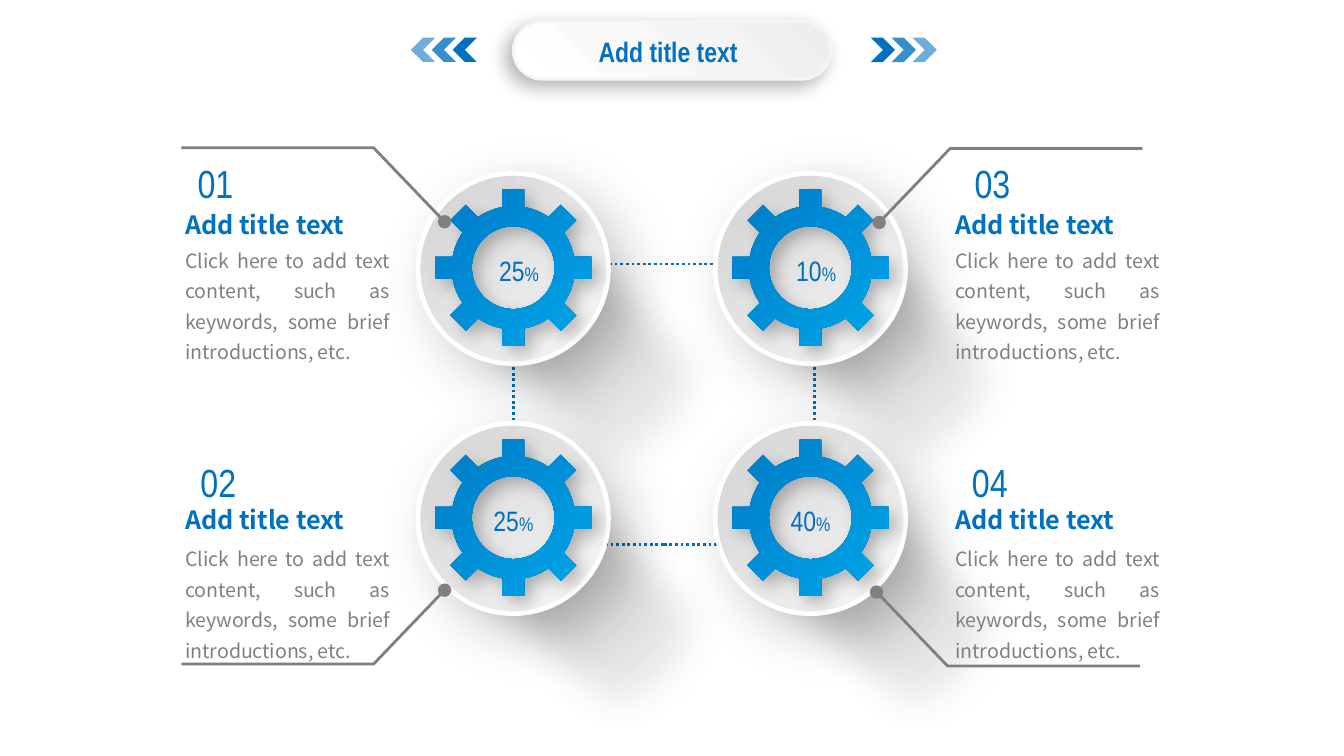
import math

from pptx import Presentation
from pptx.dml.color import RGBColor
from pptx.enum.dml import MSO_LINE
from pptx.enum.shapes import MSO_SHAPE
from pptx.enum.text import MSO_AUTO_SIZE, PP_ALIGN
from pptx.oxml import parse_xml
from pptx.oxml.ns import nsdecls, qn
from pptx.util import Pt

LEFT, CENTER, JUSTIFY = PP_ALIGN.LEFT, PP_ALIGN.CENTER, PP_ALIGN.JUSTIFY
CHEVRON, ELLIPSE = MSO_SHAPE.CHEVRON, MSO_SHAPE.OVAL
RECTANGLE, ROUNDED = MSO_SHAPE.RECTANGLE, MSO_SHAPE.ROUNDED_RECTANGLE
DOTTED, FIT_TEXT = MSO_LINE.ROUND_DOT, MSO_AUTO_SIZE.SHAPE_TO_FIT_TEXT
BLUE, GRAY = "0070C0", "808080"
NARROW, SANS = "Arial Narrow", "Noto Sans CJK SC"
BODY = ("Click here to add text content, such as keywords, "
        "some brief introductions, etc.")


def color(value):
    return RGBColor.from_string(value)


def style(shape, fill=None, line=None, weight=1.5):
    """Set plain fill and line, and clear the inherited shadow."""
    shape.shadow.inherit = False
    if fill:
        shape.fill.solid()
        shape.fill.fore_color.rgb = color(fill)
    else:
        shape.fill.background()
    if line:
        shape.line.color.rgb = color(line)
        shape.line.width = Pt(weight)
    else:
        shape.line.fill.background()
    return shape


def add_box(shapes, kind, left, top, width, height, **look):
    shape = shapes.add_shape(kind, Pt(left), Pt(top), Pt(width), Pt(height))
    return style(shape, **look)


def set_gradient(shape, stops, angle):
    """Stops are (position, colour, opacity), all in percent."""
    shape.fill.gradient()
    stop_xml = "".join(
        f'<a:gs pos="{position * 1000}"><a:srgbClr val="{value}">'
        f'<a:alpha val="{opacity * 1000}"/></a:srgbClr></a:gs>'
        for position, value, opacity in stops)
    properties = shape._element.spPr
    properties.replace(properties.find(qn("a:gradFill")), parse_xml(
        f'<a:gradFill {nsdecls("a")} rotWithShape="1"><a:gsLst>{stop_xml}</a:gsLst>'
        f'<a:lin ang="{angle * 60000}" scaled="0"/></a:gradFill>'))


def add_effect(shape, xml):
    shape._element.spPr.find(qn("a:effectLst")).append(parse_xml(xml))


def set_shadow(shape, opacity, blur, distance, angle):
    add_effect(shape, (
        f'<a:outerShdw {nsdecls("a")} blurRad="{Pt(blur)}" dist="{Pt(distance)}" '
        f'dir="{angle * 60000}" algn="ctr" rotWithShape="0"><a:srgbClr val="000000">'
        f'<a:alpha val="{opacity * 1000}"/></a:srgbClr></a:outerShdw>'))


def add_text(slide, left, top, width, height, text, size, font=NARROW,
             value=BLUE, bold=False, align=CENTER, spacing=None):
    box = slide.shapes.add_textbox(Pt(left), Pt(top), Pt(width), Pt(height))
    frame = box.text_frame
    frame.word_wrap = True
    frame.auto_size = FIT_TEXT
    paragraph = frame.paragraphs[0]
    paragraph.add_run().text = text
    paragraph.alignment = align
    paragraph.line_spacing = spacing
    paragraph.font.size = Pt(size)
    paragraph.font.name = font
    paragraph.font.bold = bold
    paragraph.font.color.rgb = color(value)
    return box


def add_header(slide, left, top, width, height):
    """Title pill with three fading chevrons on each side."""
    pill = add_box(slide.shapes, ROUNDED, left, top, width, height, line="F5F5F5")
    pill.adjustments[0] = 0.5
    set_gradient(pill, [(0, "EEEEEE", 100), (100, "FFFFFF", 100)], 135)
    set_shadow(pill, 30, 10, 5, 135)

    size, step, gap = 13, 11.2, 21.5
    for side in (1, -1):
        group = slide.shapes.add_group_shape()
        start = left + width + gap if side == 1 else left - gap + 2 - size
        for index, opacity in enumerate((100, 79, 57)):
            chevron = add_box(group.shapes, CHEVRON, start + side * index * step,
                              top + 8.7, size, size, fill=BLUE)
            chevron.rotation = 0 if side == 1 else 180
            fill_color = chevron._element.spPr.find(".//" + qn("a:srgbClr"))
            fill_color.append(parse_xml(
                f'<a:alpha {nsdecls("a")} val="{opacity * 1000}"/>'))

    title = add_text(slide, left + 21, top + 5, 124, 22.3, "Add title text", 15,
                     bold=True)
    frame = title.text_frame
    frame.margin_left = frame.margin_right = Pt(4.5)
    frame.margin_top = frame.margin_bottom = Pt(2.25)


def add_gear(shapes, center_x, center_y):
    """Eight-toothed gear with a round hole."""
    tip, body, hole, half_tooth, teeth = 41.8, 33, 22.2, 5.8, 8

    def point(radius, degrees):
        angle = math.radians(degrees)
        return (Pt(center_x + radius * math.sin(angle)),
                Pt(center_y - radius * math.cos(angle)))

    pitch = 360 / teeth
    root = math.degrees(math.asin(half_tooth / body))
    corner = math.degrees(math.atan(half_tooth / tip))
    corner_radius = math.hypot(half_tooth, tip)
    arc = pitch - 2 * root
    outline = []
    for index in range(teeth):
        middle = index * pitch
        outline += [point(body, middle - root),
                    point(corner_radius, middle - corner),
                    point(corner_radius, middle + corner)]
        outline += [point(body, middle + root + arc * step / 6) for step in range(6)]
    rim = [point(hole, -degrees) for degrees in range(0, 360, 5)]

    builder = shapes.build_freeform(*outline[0])
    builder.add_line_segments(outline[1:])
    builder.move_to(*rim[0])
    builder.add_line_segments(rim[1:])
    gear = style(builder.convert_to_shape())
    gear.rotation = 315
    set_gradient(gear, [(0, BLUE, 100), (100, "00B0F0", 100)], 90)
    set_shadow(gear, 26, 9, 5, 45)


def add_dial(slide, left, top, size):
    """Gear on a disc that casts a long soft shadow."""
    shapes = slide.shapes.add_group_shape().shapes
    cast = add_box(shapes, ROUNDED, left - 13, top + 25.2, 194.4, 123)
    cast.adjustments[0] = 0.5
    cast.rotation = 46
    set_gradient(cast, [(0, "000000", 61), (47, "000000", 19),
                        (76, "6C6C6C", 10), (100, "D8D8D8", 0)], 0)
    add_effect(cast, f'<a:softEdge {nsdecls("a")} rad="{Pt(20)}"/>')

    disc = add_box(shapes, ELLIPSE, left, top, size, size, line="FFFFFF", weight=2.5)
    set_gradient(disc, [(0, "D3D3D3", 100), (100, "F7F7F7", 100)], 45)
    set_shadow(disc, 22, 32, 13, 45)
    add_gear(shapes, left + size / 2, top + size / 2 - 0.5)


def add_percent(slide, left, top, number):
    box = add_text(slide, left, top, 73.4, 25.2, number, 15)
    sign = box.text_frame.paragraphs[0].add_run()
    sign.text = "%"
    sign.font.size = Pt(10.5)


def add_leader(slide, start_x, start_y, across, down):
    """Dot and bent line; across and down are 1 or -1."""
    shapes = slide.shapes.add_group_shape().shapes
    radius = 3.6
    add_box(shapes, ELLIPSE, start_x - 2 * across - radius,
            start_y - 2 * down - radius, 2 * radius, 2 * radius, fill=GRAY)
    builder = shapes.build_freeform(Pt(start_x), Pt(start_y))
    bend_y = Pt(start_y + 37.6 * down)
    builder.add_line_segments([(Pt(start_x + 36 * across), bend_y),
                               (Pt(start_x + 139 * across), bend_y)], close=False)
    style(builder.convert_to_shape(), line="7F7F7F")


def add_caption(slide, left, number, number_left, number_top, title_top, body_top):
    add_text(slide, number_left, number_top, 48.2, 32.4, number, 21)
    add_text(slide, left, title_top, 126.7, 23.8, "Add title text", 13.5, SANS,
             bold=True, align=LEFT)
    add_text(slide, left, body_top, 123.8, 72, BODY, 10.5, SANS, GRAY,
             align=JUSTIFY, spacing=1.3)


def main():
    presentation = Presentation()
    presentation.slide_width, presentation.slide_height = Pt(720), Pt(405)
    slide = presentation.slides.add_slide(presentation.slide_layouts[6])
    add_header(slide, 275, 11.5, 170, 31)

    # Dotted frame that links the four dials
    frame = add_box(slide.shapes, RECTANGLE, 275, 141.4, 161.3, 150.5, line=BLUE)
    frame.line.dash_style = DOTTED

    # Dials and their values
    columns, rows = (224, 383.2), (92.9, 226.8)
    for top in rows:
        for left in columns:
            add_dial(slide, left, top, 102)
    percents = (("25", "10"), ("25", "40"))
    for top, offset, numbers in zip(rows, (17.3, 14.3), percents):
        for left, number in zip(columns, numbers):
            add_percent(slide, left + offset, top + 39.6, number)

    # Leaders and captions
    for start in ((236.2, 116.8, -1, -1), (473, 117.2, 1, -1),
                  (236.2, 318.2, -1, 1), (471.6, 319.2, 1, 1)):
        add_leader(slide, *start)
    upper, lower = (82, 108.7, 126), (242, 266.4, 285.8)
    for left, number, number_left, tops in (
            (92.2, "01", 91.4, upper), (92.2, "02", 92.9, lower),
            (504.7, "03", 507.6, upper), (504.7, "04", 506.2, lower)):
        add_caption(slide, left, number, number_left, *tops)

    presentation.save("out.pptx")


if __name__ == "__main__":
    main()
